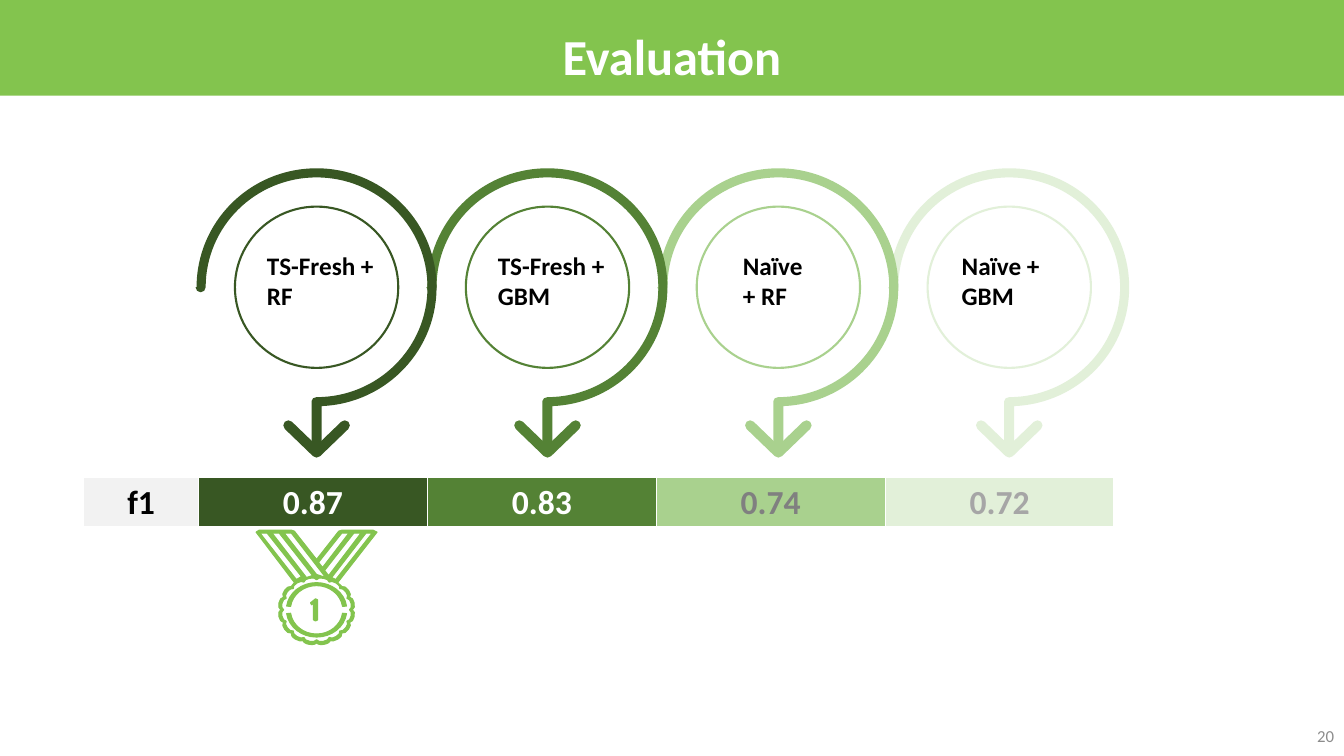
import math
from dataclasses import dataclass

import pptx
import pptx.dml.color
import pptx.enum.shapes
import pptx.enum.text
import pptx.oxml
import pptx.oxml.ns
import pptx.util
from pptx.dml.color import RGBColor
from pptx.util import Inches

Point = tuple[float, float]
Step = tuple[Point, ...]
Contour = list[Step]

FONT = "Calibri"
LIME = RGBColor(0x83, 0xC4, 0x4E)
FOREST = RGBColor(0x38, 0x57, 0x23)
LEAF = RGBColor(0x54, 0x82, 0x35)
SAGE = RGBColor(0xA9, 0xD1, 0x8E)
MINT = RGBColor(0xE2, 0xF0, 0xD9)
PALE_GRAY = RGBColor(0xF2, 0xF2, 0xF2)
NUMBER_GRAY = RGBColor(0x8C, 0x8C, 0x8C)
MID_GRAY = RGBColor(0x80, 0x80, 0x80)
LIGHT_GRAY = RGBColor(0xA6, 0xA6, 0xA6)
WHITE = RGBColor(0xFF, 0xFF, 0xFF)
BLACK = RGBColor(0, 0, 0)

RING_Y = 2.85
FIRST_RING_X = 3.14
RING_STEP = 2.29
MEDAL_X, MEDAL_Y = 3.14, 6.05


@dataclass(frozen=True)
class Model:
    label: str
    label_left: float
    score: str
    color: RGBColor
    score_color: RGBColor


MODELS = [
    Model("TS-Fresh + RF", 2.55, "0.87", FOREST, WHITE),
    Model("TS-Fresh + GBM", 4.84, "0.83", LEAF, WHITE),
    Model("Naïve\n+ RF", 7.27, "0.74", SAGE, MID_GRAY),
    Model("Naïve + GBM", 9.44, "0.72", MINT, LIGHT_GRAY),
]


def style_text(frame, size: float, color: RGBColor, bold: bool,
               align=pptx.enum.text.PP_ALIGN.LEFT) -> None:
    for para in frame.paragraphs:
        para.alignment = align
        para.font.name = FONT
        para.font.size = pptx.util.Pt(size)
        para.font.bold = bold
        para.font.color.rgb = color


def add_text(page, text: str, left: float, top: float, width: float, height: float):
    box = page.shapes.add_textbox(Inches(left), Inches(top), Inches(width), Inches(height))
    box.text_frame.word_wrap = True
    box.text_frame.text = text
    return box.text_frame


def lines(*points: Point) -> Contour:
    return [(point,) for point in points]


def arc(x: float, y: float, radius_x: float, radius_y: float,
        start: float, end: float) -> Contour:
    count = math.ceil(abs(end - start) / 90)
    turn = math.radians(end - start) / count
    pull = 4 / 3 * math.tan(turn / 4)

    def spot(angle: float, along: float = 0) -> Point:
        return (x + radius_x * (math.cos(angle) - along * math.sin(angle)),
                y + radius_y * (math.sin(angle) + along * math.cos(angle)))

    angles = [math.radians(start) + turn * index for index in range(count + 1)]
    return lines(spot(angles[0])) + [
        (spot(a, pull), spot(b, -pull), spot(b)) for a, b in zip(angles, angles[1:])]


def scallops(radius_x: float, radius_y: float, start: float, end: float) -> Contour:
    count = round(abs(end - start) / 22.5)
    turn = (end - start) / count

    def spot(place: float, swell: float) -> Point:
        angle = math.radians(start + turn * place)
        return (MEDAL_X + radius_x * swell * math.cos(angle),
                MEDAL_Y + radius_y * swell * math.sin(angle))

    return lines(spot(0, 0.96)) + [
        (spot(lobe + 0.1, 1.07), spot(lobe + 0.9, 1.07), spot(lobe + 1, 0.96))
        for lobe in range(count)]


def add_outline(page, contours: list[Contour], color: RGBColor, line_width: float = 0) -> None:
    builder = None
    for contour in contours:
        start, *rest = [(Inches(x), Inches(y)) for step in contour for x, y in step]
        if builder is None:
            builder = page.shapes.build_freeform(*start)
        else:
            builder.move_to(*start)
        builder.add_line_segments(rest)
    outline = builder.convert_to_shape()
    segments = iter(list(outline._element.iter(pptx.oxml.ns.qn("a:lnTo"))))
    for step in (step for contour in contours for step in contour[1:]):
        first, *others = [next(segments) for _ in step]
        if others:
            first.tag = pptx.oxml.ns.qn("a:cubicBezTo")
        for other in others:
            first.append(other[0])
            other.getparent().remove(other)
    outline.shadow.inherit = False
    outline.fill.solid()
    outline.fill.fore_color.rgb = color
    if line_width:
        outline.line.color.rgb = color
        outline.line.width = pptx.util.Pt(line_width)
    else:
        outline.line.fill.background()


def add_ring(page, x: float, color: RGBColor) -> None:
    circle = page.shapes.add_shape(
        pptx.enum.shapes.MSO_SHAPE.OVAL, Inches(x - 0.81), Inches(RING_Y - 0.8),
        Inches(1.62), Inches(1.6))
    circle.shadow.inherit = False
    circle.fill.background()
    circle.line.color.rgb = color
    circle.line.width = pptx.util.Pt(1.5)

    band = arc(x, RING_Y, 1.19, 1.18, 180, 447.6)
    band += lines((x + 0.05, 4.43), (x - 0.05, 4.43))
    band += arc(x, 3.98, 0.05, 0.04, 180, 270)
    band += arc(x, RING_Y, 1.1, 1.09, 450, 180)
    band += arc(x - 1.15, RING_Y, 0.05, 0.05, 0, 180)
    add_outline(page, [band], color)

    head = lines((x, 4.42))
    head += arc(x + 0.28, 4.22, 0.05, 0.05, -135, 45)
    head += arc(x, 4.49, 0.05, 0.05, 45, 135)
    head += arc(x - 0.28, 4.22, 0.05, 0.05, 135, 315)
    add_outline(page, [head], color)


def add_medal(page) -> None:
    rosette = lines((2.92, 5.27), (2.89, 5.26), (2.57, 5.26), (2.54, 5.28), (2.92, 5.78))
    rosette += scallops(0.37, 0.34, 225, -45)
    rosette += lines((3.35, 5.78), (3.74, 5.28), (3.7, 5.26), (3.39, 5.26),
                     (3.36, 5.27), (3.14, 5.55))
    stripes = [
        lines((3.46, 5.29), (3.2, 5.63), (3.16, 5.58), (3.39, 5.29)),
        lines((3.58, 5.29), (3.26, 5.71), (3.22, 5.66), (3.51, 5.29)),
        lines((3.69, 5.29), (3.33, 5.75), (3.29, 5.73), (3.63, 5.29)),
        lines((2.89, 5.29), (3.23, 5.73), (3.14, 5.7), (2.82, 5.29)),
        lines((2.77, 5.29), (3.1, 5.71), (3.04, 5.73), (2.7, 5.29)),
        lines((2.65, 5.29), (2.99, 5.72), (2.94, 5.75), (2.58, 5.29)),
    ]
    center = scallops(0.34, 0.31, 0, 360)
    add_outline(page, [rosette, *stripes, center], LIME, 0.75)
    for start, end in ((188, 352), (8, 172)):
        rim = arc(MEDAL_X, MEDAL_Y, 0.3, 0.27, start, end)
        rim += arc(MEDAL_X, MEDAL_Y, 0.26, 0.24, end, start)
        add_outline(page, [rim], LIME, 0.75)
    numeral = lines((3.13, 5.94), (3.08, 5.98), (3.09, 6), (3.11, 5.98), (3.11, 6.15),
                    (3.13, 6.16), (3.15, 6.15), (3.15, 5.95))
    add_outline(page, [numeral], LIME, 0.75)


def fill_cell(cell, text: str, fill: RGBColor, color: RGBColor) -> None:
    cell.text = text
    cell.vertical_anchor = pptx.enum.text.MSO_ANCHOR.MIDDLE
    style_text(cell.text_frame, 24, color, True, pptx.enum.text.PP_ALIGN.CENTER)
    properties = cell._tc.get_or_add_tcPr()
    for side, width in (("L", 1), ("R", 1), ("T", 1), ("B", 3)):
        properties.append(pptx.oxml.parse_xml(
            f'<a:ln{side} {pptx.oxml.ns.nsdecls("a")} w="{pptx.util.Pt(width)}">'
            f'<a:solidFill><a:srgbClr val="{WHITE}"/></a:solidFill></a:ln{side}>'))
    cell.fill.solid()
    cell.fill.fore_color.rgb = fill


def add_scores(page) -> None:
    table = page.shapes.add_table(1, len(MODELS) + 1, Inches(0.83), Inches(4.74),
                                  Inches(10.22), Inches(0.5)).table
    table.first_row = False
    table.horz_banding = False
    table.columns[0].width = Inches(1.14)
    fill_cell(table.cell(0, 0), "f1", PALE_GRAY, BLACK)
    for column, model in enumerate(MODELS, start=1):
        table.columns[column].width = Inches(2.27)
        fill_cell(table.cell(0, column), model.score, model.color, model.score_color)


def add_header(page) -> None:
    band = page.shapes.add_shape(pptx.enum.shapes.MSO_SHAPE.RECTANGLE, 0, 0,
                                 Inches(13.33), Inches(0.95))
    band.shadow.inherit = False
    band.fill.solid()
    band.fill.fore_color.rgb = LIME
    band.line.fill.background()
    title = page.shapes.title
    title._element.addprevious(band._element)
    title.left, title.top = Inches(0), Inches(0.11)
    title.width, title.height = Inches(13.33), Inches(0.76)
    frame = title.text_frame
    frame.text = "Evaluation"
    frame.auto_size = pptx.enum.text.MSO_AUTO_SIZE.NONE
    frame.vertical_anchor = pptx.enum.text.MSO_ANCHOR.TOP
    frame.paragraphs[0].line_spacing = 1.15
    style_text(frame, 36, WHITE, True, pptx.enum.text.PP_ALIGN.CENTER)


def main() -> None:
    deck = pptx.Presentation()
    deck.slide_width, deck.slide_height = Inches(13.33), Inches(7.5)
    page = deck.slides.add_slide(deck.slide_layouts.get_by_name("Title Only"))
    add_header(page)
    number = add_text(page, "20", 12.41, 7.1, 0.92, 0.4)
    number.vertical_anchor = pptx.enum.text.MSO_ANCHOR.MIDDLE
    style_text(number, 12, NUMBER_GRAY, False, pptx.enum.text.PP_ALIGN.RIGHT)
    for index, model in reversed(list(enumerate(MODELS))):
        add_ring(page, FIRST_RING_X + index * RING_STEP, model.color)
    for model in MODELS:
        style_text(add_text(page, model.label, model.label_left, 2.43, 1.4, 1.01),
                   18, BLACK, True)
    add_scores(page)
    add_medal(page)
    deck.save("out.pptx")


if __name__ == "__main__":
    main()
